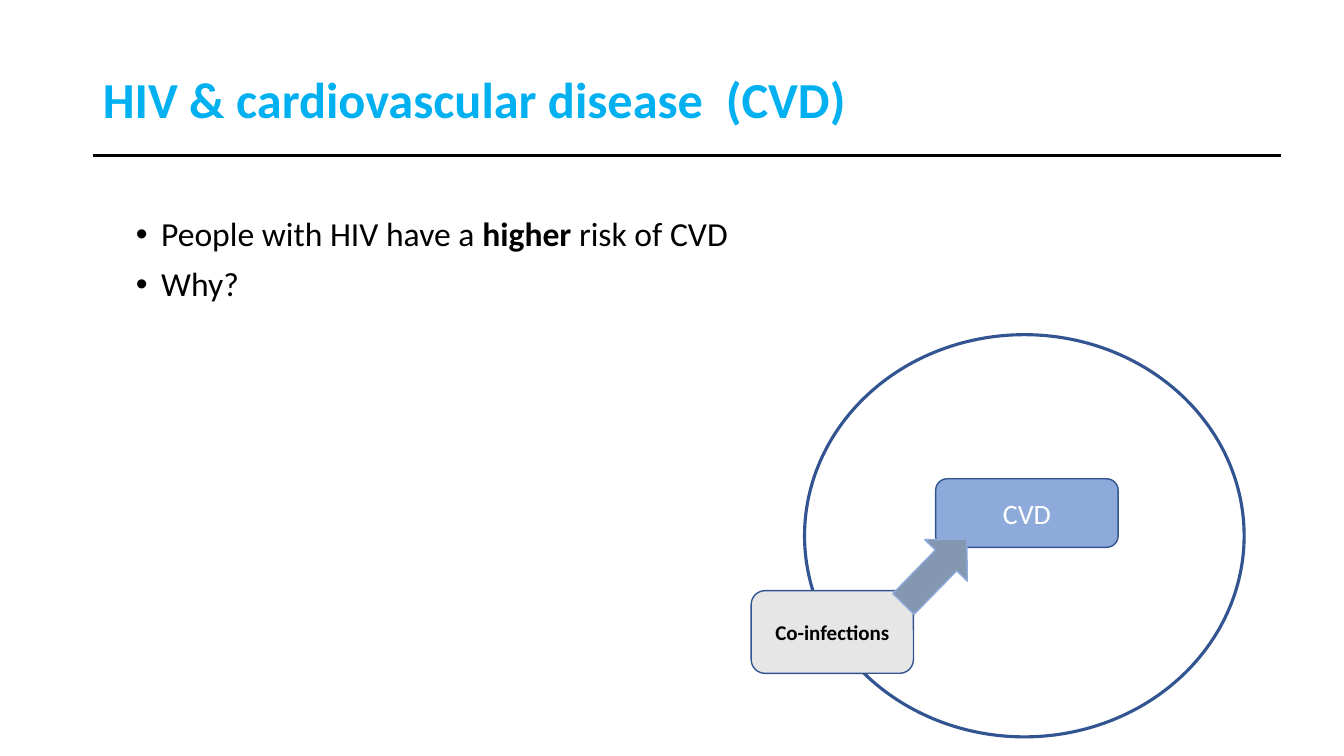
"""Build the slide on HIV and cardiovascular disease."""
from lxml.etree import SubElement
from pptx import Presentation
from pptx.dml.color import RGBColor
from pptx.enum.shapes import MSO_CONNECTOR, MSO_SHAPE
from pptx.enum.text import MSO_ANCHOR, MSO_AUTO_SIZE, PP_ALIGN
from pptx.oxml.ns import qn
from pptx.util import Pt

PX = 9144
BLUE = "325491"


def color(value):
    """Turn a hex string into a colour."""
    return RGBColor.from_string(value)


def add_text(p, text, size=24, fill="000000", bold=False, align=PP_ALIGN.LEFT):
    """Add a formatted run to a paragraph."""
    p.alignment = align
    r = p.add_run()
    r.text = text
    r.font.name = "Calibri"
    r.font.size = Pt(size)
    r.font.bold = bold
    r.font.color.rgb = color(fill)


prs = Presentation()
prs.slide_width, prs.slide_height = 1333 * PX, 750 * PX
s = prs.slides.add_slide(prs.slide_layouts[5])

title = s.shapes.title
title.left, title.top, title.width, title.height = [v * PX for v in (92, 29, 1360, 145)]
tf = title.text_frame
tf.auto_size = MSO_AUTO_SIZE.NONE
tf.vertical_anchor = MSO_ANCHOR.MIDDLE
tf.paragraphs[0].line_spacing = 0.9
add_text(tf.paragraphs[0], "HIV & cardiovascular disease  (CVD)",
         size=36, fill="00B0F0", bold=True)

tf = s.shapes.add_textbox(*[v * PX for v in (125, 211, 1083, 476)]).text_frame
tf.word_wrap = True
bullets = [
    [("People with HIV have a ", False), ("higher", True), (" risk of CVD", False)],
    [("Why?", False)],
]
for i, runs in enumerate(bullets):
    p = tf.add_paragraph() if i else tf.paragraphs[0]
    p.line_spacing = 0.9
    p.space_before = Pt(10)
    for text, bold in runs:
        add_text(p, text, bold=bold)
    pPr = p._p.get_or_add_pPr()
    pPr.set("marL", str(25 * PX))
    pPr.set("indent", str(-25 * PX))
    SubElement(pPr, qn("a:buFont")).set("typeface", "Arial")
    SubElement(pPr, qn("a:buChar")).set("char", "•")

rule = s.shapes.add_connector(MSO_CONNECTOR.STRAIGHT,
                              *[v * PX for v in (92, 154, 1271, 154)])
rule.line.color.rgb = color("000000")
rule.line.width = Pt(2)
SubElement(rule._element.spPr, qn("a:effectLst"))

diagram = [
    (MSO_SHAPE.OVAL, (798, 332, 436, 399), None, 100, BLUE, 2.25, 0, None),
    (MSO_SHAPE.ROUNDED_RECTANGLE, (928, 475, 181, 68), "4472C4", 60, BLUE, 1, 0,
     ("CVD", 20, "FFFFFF", False)),
    (MSO_SHAPE.ROUNDED_RECTANGLE, (745, 586, 161, 82), "E7E6E6", 100, BLUE, 1, 0,
     ("Co-infections", 15, "000000", True)),
    (MSO_SHAPE.DOWN_ARROW, (898, 522, 59, 90), "8497B0", 100, "8FAADC", 1, 224.3, None),
]
for kind, box, fill, opacity, line, width, angle, label in diagram:
    sp = s.shapes.add_shape(kind, *[v * PX for v in box])
    sp.shadow.inherit = False
    sp.rotation = angle
    sp.line.color.rgb = color(line)
    sp.line.width = Pt(width)
    if fill:
        sp.fill.solid()
        sp.fill.fore_color.rgb = color(fill)
    else:
        sp.fill.background()
    if opacity < 100:
        srgb = sp._element.spPr.find(qn("a:solidFill")).find(qn("a:srgbClr"))
        SubElement(srgb, qn("a:alpha")).set("val", str(opacity * 1000))
    if label:
        text, size, ink, bold = label
        sp.text_frame.vertical_anchor = MSO_ANCHOR.MIDDLE
        add_text(sp.text_frame.paragraphs[0], text, size=size, fill=ink, bold=bold,
                 align=PP_ALIGN.CENTER)

prs.save("out.pptx")
